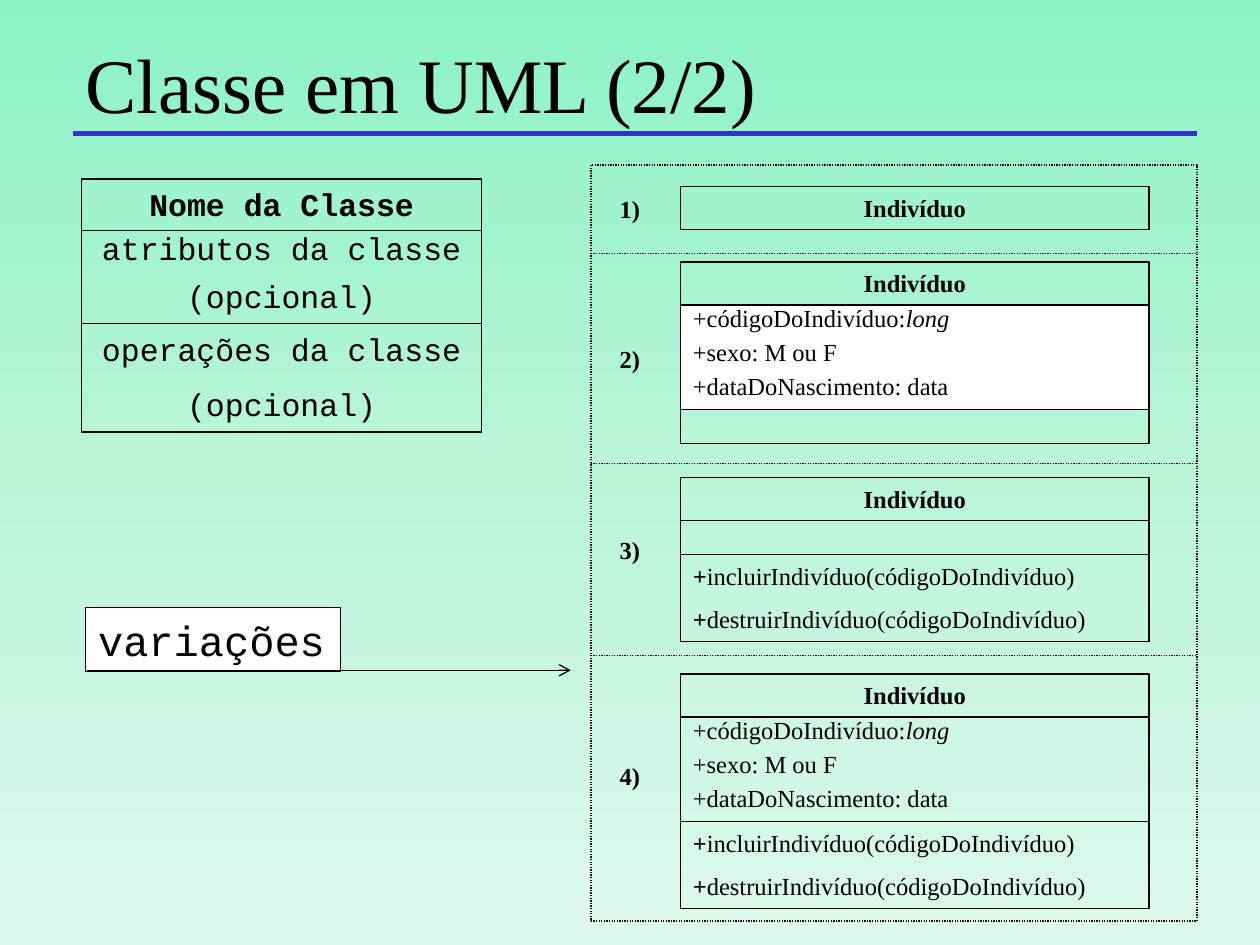
from copy import deepcopy
from dataclasses import dataclass

from lxml import etree
from pptx import Presentation
from pptx.dml.color import RGBColor
from pptx.enum.dml import MSO_LINE
from pptx.enum.shapes import MSO_CONNECTOR, MSO_SHAPE
from pptx.enum.text import MSO_ANCHOR, PP_ALIGN
from pptx.oxml.ns import qn
from pptx.util import Inches, Pt

RECTANGLE = MSO_SHAPE.RECTANGLE
STRAIGHT = MSO_CONNECTOR.STRAIGHT
DOTTED = MSO_LINE.ROUND_DOT
TOP, MIDDLE = MSO_ANCHOR.TOP, MSO_ANCHOR.MIDDLE
LEFT, CENTER = PP_ALIGN.LEFT, PP_ALIGN.CENTER


@dataclass(frozen=True)
class Theme:
    black: str = "000000"
    white: str = "FFFFFF"
    rule: str = "3333CC"
    background: tuple = ((0, "8CF2C6"), (0.5, "BAF5DA"), (1, "DEF9EC"))
    serif: str = "Times New Roman"
    mono: str = "Courier New"
    title_size: int = 44
    note_size: int = 24
    schema_size: int = 18
    body_size: int = 14
    thin: float = 0.75
    thick: float = 3


THEME = Theme()
BODY = {"name": THEME.serif, "size": Pt(THEME.body_size)}
BOLD = {**BODY, "bold": True}
ITALIC = {**BODY, "italic": True}
TITLE = {"name": THEME.serif, "size": Pt(THEME.title_size)}
SCHEMA = {"name": THEME.mono, "size": Pt(THEME.schema_size)}
SCHEMA_BOLD = {**SCHEMA, "bold": True}
NOTE = {"name": THEME.mono, "size": Pt(THEME.note_size)}

# A paragraph is a list of (text, font) runs.
# A compartment is (height, paragraphs, paragraph format, space between, fill).
NAME = (0.34, [[("Indivíduo", BOLD)]], {"alignment": CENTER}, 0, None)
EMPTY = (0.27, [], {}, 0, None)
ATTRIBUTES = (
    0.83,
    [
        [("+códigoDoIndivíduo:", BODY), ("long", ITALIC)],
        [("+sexo: M ou F", BODY)],
        [("+dataDoNascimento: data", BODY)],
    ],
    {"alignment": LEFT, "line_spacing": 0.7},
    7.5,
    None,
)
WHITE_ATTRIBUTES = (*ATTRIBUTES[:4], THEME.white)
OPERATIONS = (
    0.69,
    [
        [("+", BOLD), (f"{verb}Indivíduo(códigoDoIndivíduo)", BODY)]
        for verb in ("incluir", "destruir")
    ],
    {"alignment": LEFT},
    8,
    None,
)
SCHEMA_CLASS = [
    (0.41, [[("Nome da Classe", SCHEMA_BOLD)]], {"alignment": CENTER}, 0, None),
    (0.74, [[("atributos da classe", SCHEMA)], [("(opcional)", SCHEMA)]],
     {"alignment": CENTER, "line_spacing": 0.8}, 10, None),
    (0.86, [[("operações da classe", SCHEMA)], [("(opcional)", SCHEMA)]],
     {"alignment": CENTER}, 10, None),
]
# (label, label top, class top, compartments)
VARIATIONS = [
    ("1)", 1.49, 1.48, [NAME]),
    ("2)", 2.68, 2.08, [NAME, WHITE_ATTRIBUTES, EMPTY]),
    ("3)", 4.2, 3.79, [NAME, EMPTY, OPERATIONS]),
    ("4)", 5.99, 5.35, [NAME, ATTRIBUTES, OPERATIONS]),
]
FRAME_LEFT, FRAME_TOP, FRAME_RIGHT, FRAME_BOTTOM = 4.69, 1.31, 9.5, 7.31
DIVIDERS = (2.01, 3.68, 5.2)


class SlideBuilder:
    def __init__(self, slide, theme):
        self.slide = slide
        self.theme = theme

    def background(self):
        fill = self.slide.background.fill
        fill.gradient()
        fill.gradient_angle = 270
        stops = self.slide.element.find(".//" + qn("a:gsLst"))
        stops.append(deepcopy(stops[0]))
        for stop, (position, color) in zip(fill.gradient_stops, self.theme.background):
            stop.position = position
            stop.color.rgb = RGBColor.from_string(color)

    def style_line(self, line, color, width, dash=None):
        line.color.rgb = RGBColor.from_string(color)
        line.width = Pt(width)
        if dash:
            line.dash_style = dash

    def fill_text(self, shape, paragraphs, layout, gap=0, anchor=TOP, wrap=True):
        frame = shape.text_frame
        frame.word_wrap = wrap
        frame.vertical_anchor = anchor
        for index, runs in enumerate(paragraphs):
            paragraph = frame.add_paragraph() if index else frame.paragraphs[0]
            for name, value in layout.items():
                setattr(paragraph, name, value)
            if index:
                paragraph.space_before = Pt(gap)
            for text, font in runs:
                run = paragraph.add_run()
                run.text = text
                run.font.color.rgb = RGBColor.from_string(self.theme.black)
                for name, value in font.items():
                    setattr(run.font, name, value)

    def box(self, left, top, width, height, fill=None, dash=None):
        shape = self.slide.shapes.add_shape(
            RECTANGLE, Inches(left), Inches(top), Inches(width), Inches(height))
        shape.shadow.inherit = False
        if fill:
            shape.fill.solid()
            shape.fill.fore_color.rgb = RGBColor.from_string(fill)
        else:
            shape.fill.background()
        self.style_line(shape.line, self.theme.black, self.theme.thin, dash)
        return shape

    def text(self, left, top, width, height, content, font, wrap=True):
        shape = self.slide.shapes.add_textbox(
            Inches(left), Inches(top), Inches(width), Inches(height))
        self.fill_text(shape, [[(content, font)]], {"alignment": LEFT}, wrap=wrap)

    def uml_class(self, left, top, width, compartments):
        """Stack the compartments of a class downwards from top."""
        for height, paragraphs, layout, gap, fill in compartments:
            shape = self.box(left, top, width, height, fill)
            self.fill_text(shape, paragraphs, layout, gap)
            top += height

    def horizontal_line(self, left, right, y, color, width, dash=None, arrow=False):
        connector = self.slide.shapes.add_connector(
            STRAIGHT, Inches(left), Inches(y), Inches(right), Inches(y))
        self.style_line(connector.line, color, width, dash)
        properties = connector.element.spPr
        if arrow:
            etree.SubElement(properties.find(qn("a:ln")), qn("a:tailEnd"), type="arrow")
        etree.SubElement(properties, qn("a:effectLst"))


def main():
    presentation = Presentation()
    presentation.slide_width = Inches(10)
    presentation.slide_height = Inches(7.5)
    slide = presentation.slides.add_slide(presentation.slide_layouts[6])
    builder = SlideBuilder(slide, THEME)

    builder.background()
    builder.text(0.58, 0.24, 8.5, 0.75, "Classe em UML (2/2)", TITLE)
    builder.horizontal_line(0.58, FRAME_RIGHT, 1.06, THEME.rule, THEME.thick)
    builder.uml_class(0.65, 1.42, 3.17, SCHEMA_CLASS)

    builder.box(FRAME_LEFT, FRAME_TOP, FRAME_RIGHT - FRAME_LEFT,
                FRAME_BOTTOM - FRAME_TOP, dash=DOTTED)
    for y in DIVIDERS:
        builder.horizontal_line(
            FRAME_LEFT, FRAME_RIGHT, y, THEME.black, THEME.thin, DOTTED)
    for label, label_top, class_top, compartments in VARIATIONS:
        builder.text(4.82, label_top, 0.37, 0.34, label, BOLD, wrap=False)
        builder.uml_class(5.4, class_top, 3.72, compartments)

    note = builder.box(0.68, 4.82, 2.02, 0.51, THEME.white)
    builder.fill_text(note, [[("variações", NOTE)]], {"alignment": LEFT},
                      anchor=MIDDLE, wrap=False)
    builder.horizontal_line(0.69, 4.53, 5.32, THEME.black, THEME.thin, arrow=True)

    presentation.save("out.pptx")


if __name__ == "__main__":
    main()
